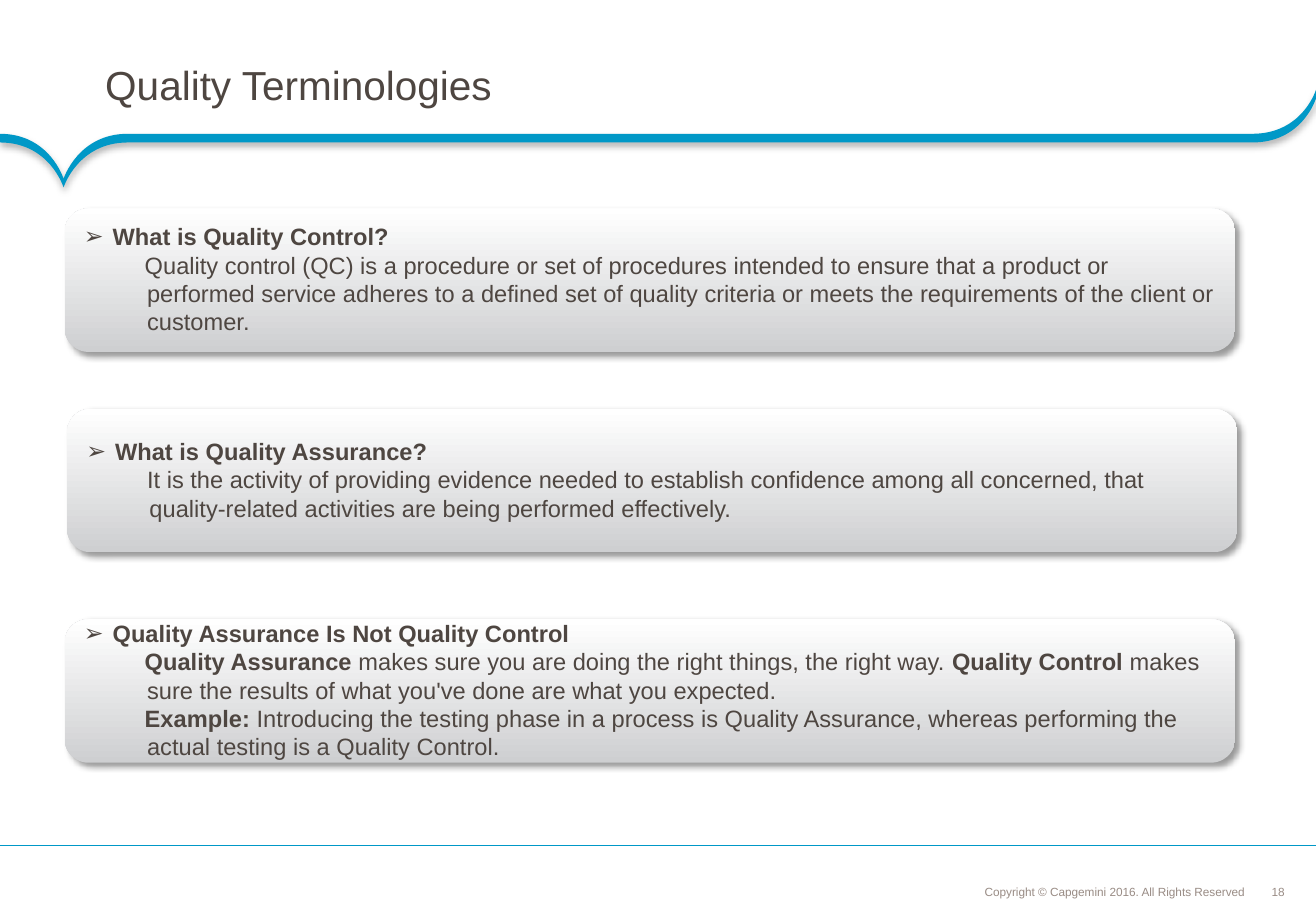
from dataclasses import dataclass

from lxml.etree import SubElement
from pptx import Presentation
from pptx.dml.color import RGBColor
from pptx.enum.shapes import MSO_CONNECTOR, MSO_SHAPE
from pptx.enum.text import MSO_ANCHOR as Anchor, MSO_AUTO_SIZE, PP_ALIGN as Align
from pptx.oxml.ns import qn
from pptx.util import Cm, Pt

FONT = "Arial"
INK, MUTED, ACCENT = "4E4641", "998C85", "0098C7"
PAGE_WIDTH, PAGE_HEIGHT = 27.51, 19.05
Point = tuple[float, float]


@dataclass
class Span:
    text: str
    bold: bool = False


@dataclass
class Card:
    left: float
    top: float
    heading: str
    body: list[list[Span]]


CARDS = [
    Card(1.35, 4.36, "What is Quality Control?", [[Span(
        "Quality control (QC) is a procedure or set of procedures intended to ensure that "
        "a product or performed service adheres to a defined set of quality criteria or "
        "meets the requirements of the client or customer.")]]),
    Card(1.4, 8.55, "What is Quality Assurance?", [[Span(
        "It is the activity of providing evidence needed to establish confidence among all "
        "concerned, that quality-related activities are being performed effectively.")]]),
    Card(1.35, 12.95, "Quality Assurance Is Not Quality Control", [
        [Span("Quality Assurance ", True),
         Span("makes sure you are doing the right things, the right way. "),
         Span("Quality Control ", True),
         Span("makes sure the results of what you've done are what you expected.")],
        [Span("Example: ", True),
         Span("Introducing the testing phase in a process is Quality Assurance, whereas "
              "performing the actual testing is a Quality Control.")]]),
]


def rgb(value: str) -> RGBColor:
    return RGBColor.from_string(value)


def add_span(para, span: Span, size: float, color: str) -> None:
    run = para.add_run()
    run.text = span.text
    run.font.name, run.font.size, run.font.bold = FONT, Pt(size), span.bold
    run.font.color.rgb = rgb(color)


def set_frame(frame, insets: tuple[float, ...], anchor, wrap: bool = True) -> None:
    frame.auto_size = MSO_AUTO_SIZE.NONE
    frame.word_wrap, frame.vertical_anchor = wrap, anchor
    (frame.margin_left, frame.margin_top,
     frame.margin_right, frame.margin_bottom) = map(Cm, insets)


def set_indent(para, left: float, first: float, bullet: str = "") -> None:
    props = para._p.get_or_add_pPr()
    props.set("marL", str(Cm(left)))
    props.set("indent", str(Cm(first)))
    if bullet:
        SubElement(props, qn("a:buFont"), typeface=FONT)
        SubElement(props, qn("a:buChar"), char=bullet)
    else:
        SubElement(props, qn("a:buNone"))


def add_shadow(shape, opacity: int, blur: float, distance: float, angle: int) -> None:
    shape.shadow.inherit = False
    effects = shape._element.spPr.find(qn("a:effectLst"))
    outer = SubElement(effects, qn("a:outerShdw"), blurRad=str(Pt(blur)),
                       dist=str(Pt(distance)), dir=str(angle * 60000),
                       algn="tl", rotWithShape="0")
    color = SubElement(outer, qn("a:srgbClr"), val="000000")
    SubElement(color, qn("a:alpha"), val=str(opacity * 1000))


def bend(segment, controls: list[Point], top: float) -> None:
    """Turn a straight segment into a cubic curve with two control points."""
    segment.tag = qn("a:cubicBezTo")
    end = segment[0]
    for x, y in controls:
        control = SubElement(segment, qn("a:pt"), x=str(Cm(x)), y=str(Cm(y) - Cm(top)))
        end.addprevious(control)


def add_ribbon(page) -> None:
    level, thickness, top = 2.8, 0.18, 1.88
    tip, corner = (1.33, 3.74), (PAGE_WIDTH, top)
    # Upper edge: anchors at every third point, control points between them
    upper = [(0, level), (1.04, level), tip, tip,
             tip, (1.63, level), (2.67, level),
             (2.67, level), (26.18, level), (26.18, level),
             (27.23, level), corner, corner]
    lower = [(x, y + thickness) for x, y in reversed(upper)]
    edges = (upper, lower)
    anchors = [(Cm(x), Cm(y)) for edge in edges for x, y in edge[::3]]
    builder = page.shapes.build_freeform(*anchors[0])
    builder.add_line_segments(anchors[1:], close=True)
    ribbon = builder.convert_to_shape()
    segments = list(ribbon._element.iter(qn("a:lnTo")))
    count = len(upper) // 3
    for edge, part in zip(edges, (segments[:count], segments[count + 1:])):
        for index, segment in enumerate(part):
            bend(segment, edge[3 * index + 1:3 * index + 3], top)
    ribbon.fill.solid()
    ribbon.fill.fore_color.rgb = rgb(ACCENT)
    ribbon.line.fill.background()
    add_shadow(ribbon, 31, 4, 2, 90)


def add_number(page) -> None:
    number = page.shapes.add_textbox(Cm(26.57), Cm(18.49), Cm(0.3), Cm(0.3))
    set_frame(number.text_frame, (0,) * 4, Anchor.MIDDLE, wrap=False)
    para = number.text_frame.paragraphs[0]
    para.alignment = Align.CENTER
    add_span(para, Span("18"), 7, MUTED)


def add_footer(page) -> None:
    notice = page.shapes.add_textbox(Cm(18.72), Cm(18.39), Cm(7.4), Cm(0.51))
    set_frame(notice.text_frame, (0.1,) * 4, Anchor.BOTTOM)
    para = notice.text_frame.paragraphs[0]
    para.alignment, para.line_spacing = Align.RIGHT, 0.9
    add_span(para, Span("Copyright © Capgemini 2016. All Rights Reserved"), 7, MUTED)

    rule = page.shapes.add_connector(
        MSO_CONNECTOR.STRAIGHT, Cm(PAGE_WIDTH), Cm(17.68), Cm(0), Cm(17.68))
    rule.line.color.rgb, rule.line.width = rgb(ACCENT), Pt(0.75)
    SubElement(rule._element.spPr, qn("a:effectLst"))


def set_title(page, text: str) -> None:
    title = page.shapes.title
    page.shapes._spTree.append(title._element)
    title.left, title.top, title.width, title.height = map(Cm, (1.37, 0.76, 24.77, 2.16))
    set_frame(title.text_frame, (0.83, 0.1, 0.46, 0.1), Anchor.MIDDLE)
    para = title.text_frame.paragraphs[0]
    para.alignment, para.line_spacing = Align.LEFT, 0.85
    add_span(para, Span(text), 24, INK)


def add_card(page, card: Card) -> None:
    box = page.shapes.add_shape(MSO_SHAPE.ROUNDED_RECTANGLE,
                                Cm(card.left), Cm(card.top), Cm(24.47), Cm(3))
    box.fill.gradient()
    box.fill.gradient_angle = 90
    for stop, color in zip(box.fill.gradient_stops, ("CECFD1", "FFFFFF")):
        stop.color.rgb = rgb(color)
    box.line.fill.background()
    add_shadow(box, 40, 4, 3, 45)

    frame = box.text_frame
    set_frame(frame, (0.25, 0.2, 0.13, 0.25), Anchor.MIDDLE)
    heading = frame.paragraphs[0]
    heading.alignment = Align.LEFT
    set_indent(heading, 0.61, -0.6, "➢")
    add_span(heading, Span(card.heading, True), 14, INK)
    for spans in card.body:
        para = frame.add_paragraph()
        para.level, para.alignment = 1, Align.LEFT
        set_indent(para, 1.33, -0.05)
        for span in spans:
            add_span(para, span, 14, INK)


def main() -> None:
    deck = Presentation()
    deck.slide_width, deck.slide_height = Cm(PAGE_WIDTH), Cm(PAGE_HEIGHT)
    page = deck.slides.add_slide(deck.slide_layouts.get_by_name("Title Only"))

    # Frame of the page
    add_number(page)
    add_ribbon(page)
    add_footer(page)

    # Title and definitions
    set_title(page, "Quality Terminologies")
    for card in CARDS:
        add_card(page, card)

    deck.save("out.pptx")


if __name__ == "__main__":
    main()
